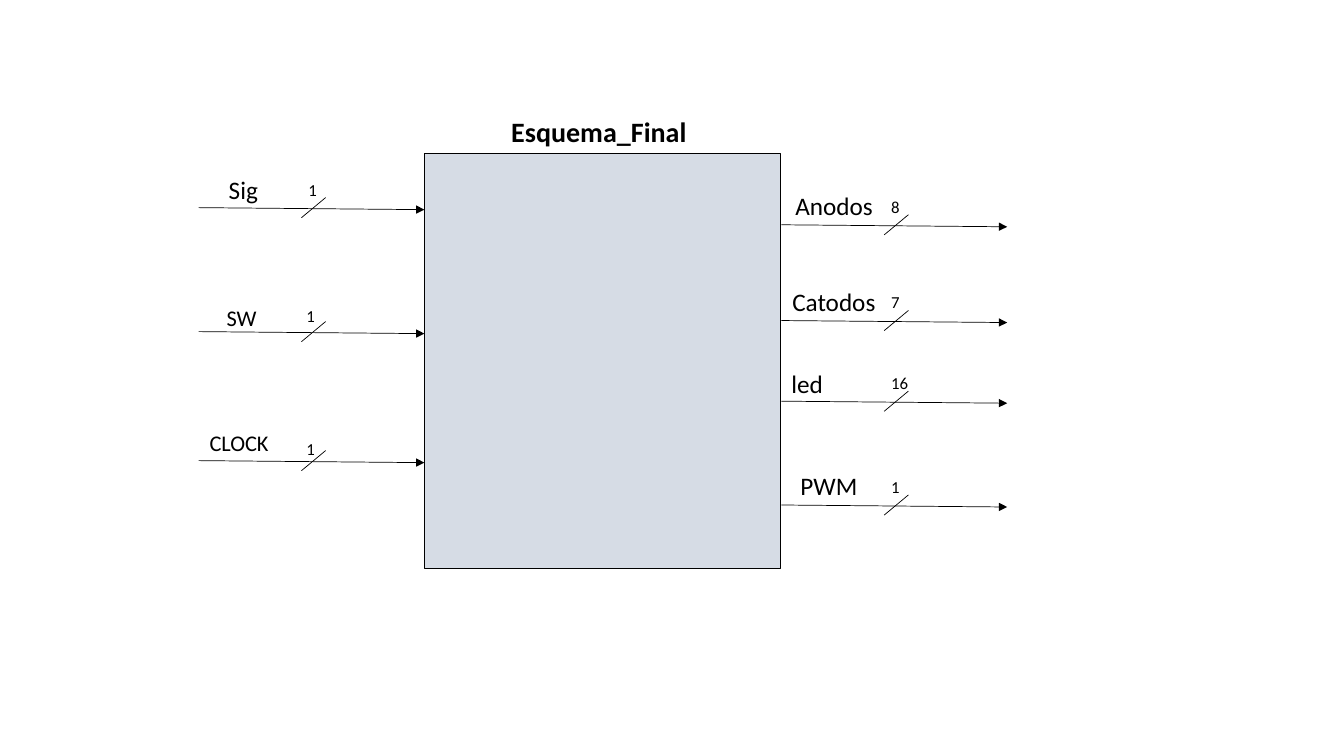
import pptx
import pptx.util
import pptx.dml.color
import pptx.enum.shapes
import pptx.enum.text
import pptx.oxml.ns
import lxml.etree
from dataclasses import dataclass

Inches = pptx.util.Inches
Pt = pptx.util.Pt


@dataclass(frozen=True)
class Theme:
    font: str = "Calibri"
    ink: str = "000000"
    block_fill: str = "D6DCE5"
    title_size: int = 20
    label_size: int = 18
    small_label_size: int = 16
    width_size: int = 12
    block_line: float = 1
    signal_line: float = 0.5


theme = Theme()

title = "Esquema_Final"
title_box = (4.97, 1.09, 2.02, 0.44)
block_box = (4.21, 1.52, 3.53, 4.12)

# name, size, label box, signal y, bus width, bus width box
inputs = [
    ("Sig", theme.label_size, (2.17, 1.68, 0.49, 0.4), 2.06, "1", (2.96, 1.73, 0.29, 0.3)),
    ("SW", theme.small_label_size, (2.15, 2.97, 0.5, 0.37), 3.29, "1", (2.94, 2.98, 0.29, 0.3)),
    ("CLOCK", theme.small_label_size, (1.98, 4.21, 0.8, 0.37), 4.57, "1", (2.94, 4.3, 0.29, 0.3)),
]
outputs = [
    ("Anodos", theme.label_size, (7.79, 1.84, 0.98, 0.4), 2.23, "8", (8.74, 1.9, 0.29, 0.3)),
    ("Catodos", theme.label_size, (7.76, 2.79, 1.04, 0.4), 3.18, "7", (8.74, 2.85, 0.29, 0.3)),
    ("led", theme.label_size, (7.75, 3.6, 0.52, 0.4), 3.98, "16", (8.74, 3.65, 0.37, 0.3)),
    ("PWM", theme.label_size, (7.84, 4.62, 0.77, 0.4), 5.01, "1", (8.74, 4.68, 0.29, 0.3)),
]
signal_length = 2.24
signal_drop = 0.02
slash_width = 0.24
slash_height = 0.2
sides = [
    (inputs, 1.97, 2.99, -0.1),
    (outputs, 7.75, 8.77, -0.1),
]


def color(value):
    return pptx.dml.color.RGBColor.from_string(value)


def write(frame, text, size, bold=False):
    run = frame.paragraphs[0].add_run()
    run.text = text
    run.font.name = theme.font
    run.font.size = Pt(size)
    run.font.bold = bold
    run.font.color.rgb = color(theme.ink)


def add_label(slide, text, size, box):
    frame = slide.shapes.add_textbox(*map(Inches, box)).text_frame
    frame.word_wrap = False
    frame.auto_size = pptx.enum.text.MSO_AUTO_SIZE.SHAPE_TO_FIT_TEXT
    write(frame, text, size)


def add_line(slide, start, end, arrow=False):
    line = slide.shapes.add_connector(
        pptx.enum.shapes.MSO_CONNECTOR.STRAIGHT, *map(Inches, start + end))
    line.line.color.rgb = color(theme.ink)
    line.line.width = Pt(theme.signal_line)
    qn = pptx.oxml.ns.qn
    if arrow:
        outline = line.line._get_or_add_ln()
        lxml.etree.SubElement(outline, qn("a:tailEnd"), type="triangle")
    lxml.etree.SubElement(line._element.spPr, qn("a:effectLst"))


def add_title(slide):
    heading = slide.shapes.title
    heading.left, heading.top, heading.width, heading.height = map(Inches, title_box)
    frame = heading.text_frame
    frame.word_wrap = True
    frame.auto_size = pptx.enum.text.MSO_AUTO_SIZE.NONE
    frame.vertical_anchor = pptx.enum.text.MSO_ANCHOR.TOP
    frame.paragraphs[0].alignment = pptx.enum.text.PP_ALIGN.LEFT
    write(frame, title, theme.title_size, bold=True)


def add_block(slide):
    block = slide.shapes.add_shape(
        pptx.enum.shapes.MSO_SHAPE.RECTANGLE, *map(Inches, block_box))
    block.shadow.inherit = False
    block.fill.solid()
    block.fill.fore_color.rgb = color(theme.block_fill)
    block.line.color.rgb = color(theme.ink)
    block.line.width = Pt(theme.block_line)


def add_signals(slide, signals, signal_left, slash_left, slash_rise):
    for name, size, name_box, y, bus_width, width_box in signals:
        add_line(slide, (signal_left, y),
                 (signal_left + signal_length, y + signal_drop), arrow=True)
        slash_top = y + slash_rise
        add_line(slide, (slash_left + slash_width, slash_top),
                 (slash_left, slash_top + slash_height))
        add_label(slide, name, size, name_box)
        add_label(slide, bus_width, theme.width_size, width_box)


def main():
    deck = pptx.Presentation()
    deck.slide_width = Inches(13.33)
    deck.slide_height = Inches(7.5)
    slide = deck.slides.add_slide(deck.slide_layouts.get_by_name("Title Only"))
    add_block(slide)
    for side in sides:
        add_signals(slide, *side)
    add_title(slide)
    deck.save("out.pptx")


if __name__ == "__main__":
    main()
